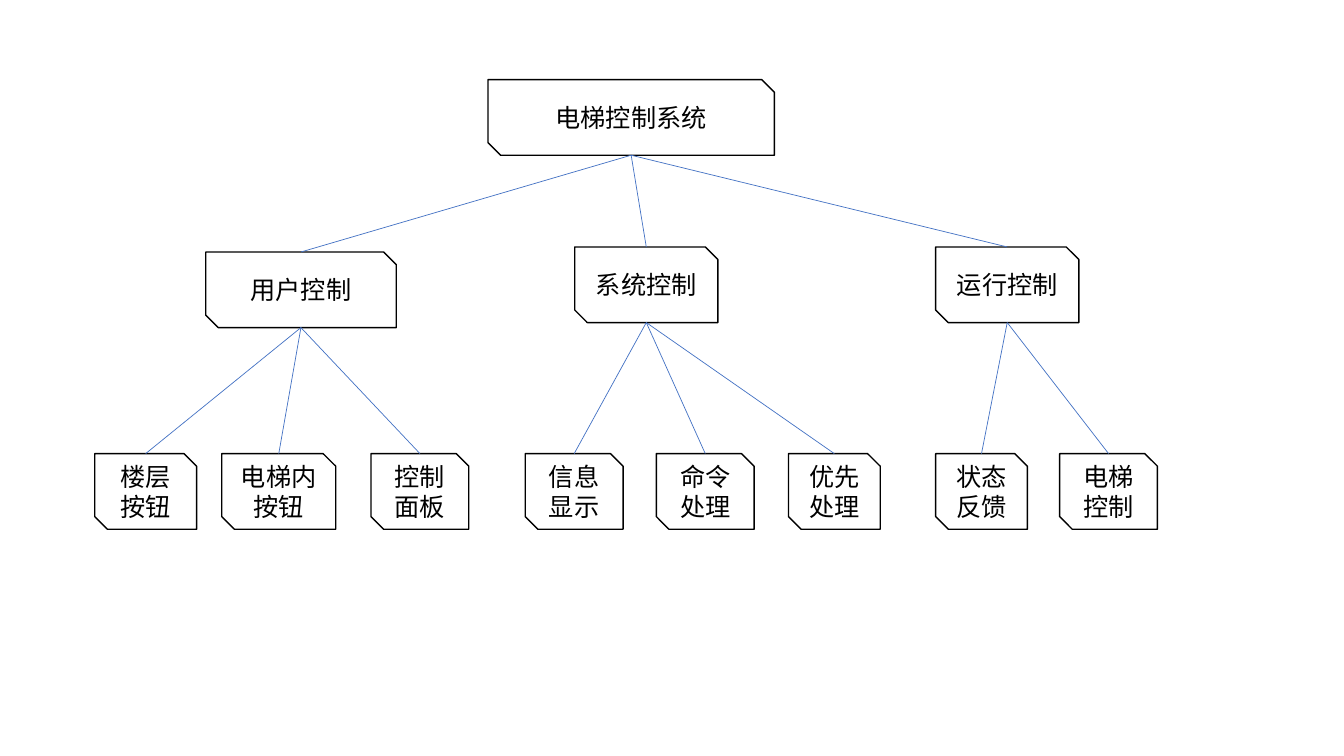
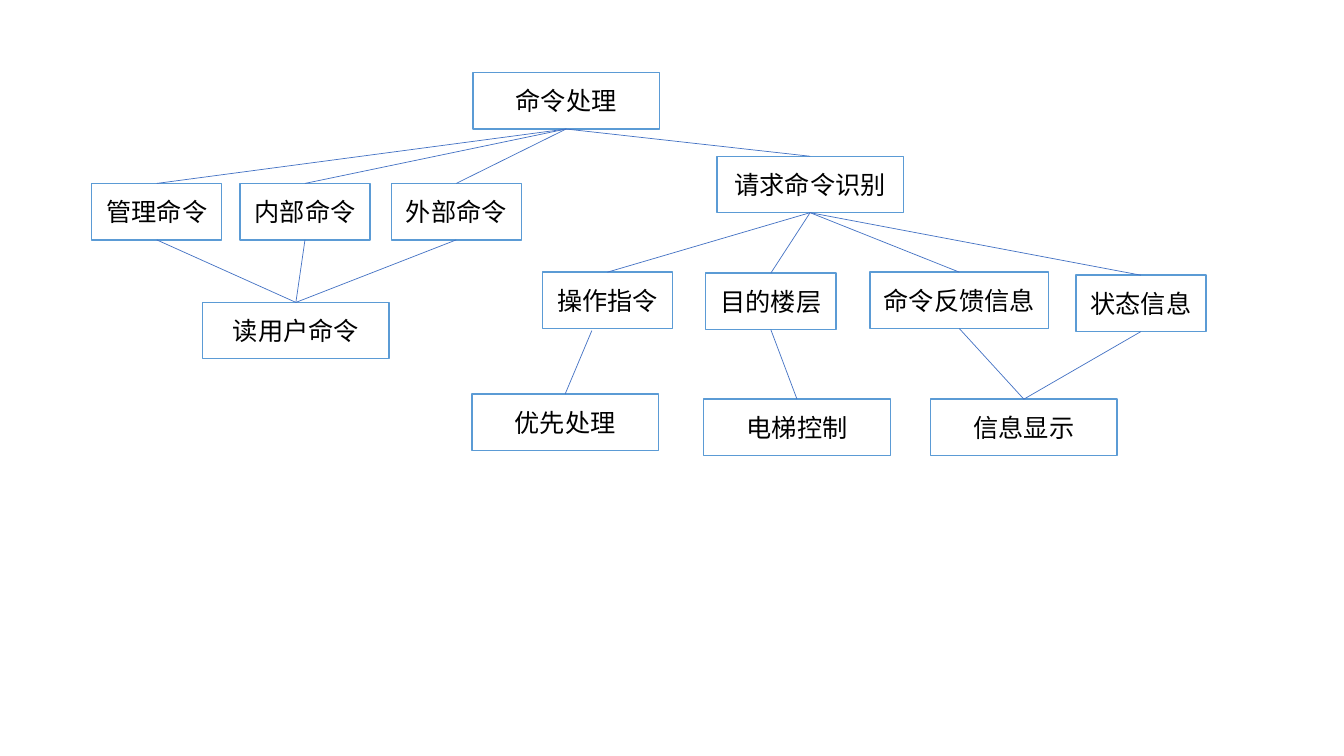
from pptx import Presentation
from pptx.dml.color import RGBColor
from pptx.enum.shapes import MSO_CONNECTOR, MSO_SHAPE
from pptx.enum.text import MSO_ANCHOR, PP_ALIGN
from pptx.oxml.ns import qn
from pptx.util import Inches, Pt
from lxml import etree

WHITE = RGBColor(0xFF, 0xFF, 0xFF)
BLACK = RGBColor(0x00, 0x00, 0x00)
BOX_BLUE = RGBColor(0x5B, 0x9B, 0xD5)
LINE_BLUE = RGBColor(0x44, 0x72, 0xC4)
FONT = "Noto Sans CJK SC"

prs = Presentation()
prs.slide_width = Inches(13.33)
prs.slide_height = Inches(7.5)
blank = prs.slide_layouts[6]


def add_box(shapes, preset, outline, text, left, top, width, height):
    box = shapes.add_shape(preset, Inches(left), Inches(top), Inches(width), Inches(height))
    box.shadow.inherit = False
    box.fill.solid()
    box.fill.fore_color.rgb = WHITE
    box.line.color.rgb = outline
    box.line.width = Pt(1)
    frame = box.text_frame
    frame.word_wrap = True
    frame.vertical_anchor = MSO_ANCHOR.MIDDLE
    paragraph = frame.paragraphs[0]
    paragraph.alignment = PP_ALIGN.CENTER
    run = paragraph.add_run()
    run.text = text
    run.font.size = Pt(18)
    run.font.name = FONT
    run.font.color.rgb = BLACK
    east_asian = etree.SubElement(run.font._element, qn("a:ea"))
    east_asian.set("typeface", FONT)
    return box


def add_link(shapes, upper, lower, start=None):
    """Line from the bottom centre of upper (or from start) to the top centre of lower."""
    x, y = start or (upper.left + upper.width // 2, upper.top + upper.height)
    link = shapes.add_connector(
        MSO_CONNECTOR.STRAIGHT, x, y, lower.left + lower.width // 2, lower.top)
    link.line.color.rgb = LINE_BLUE
    link.line.width = Pt(0.5)
    etree.SubElement(link._element.spPr, qn("a:effectLst"))
    # Rectangles have their top and bottom connection sites at 0 and 2
    if upper.auto_shape_type == MSO_SHAPE.RECTANGLE:
        if start is None:
            link.begin_connect(upper, 2)
        link.end_connect(lower, 0)


# Slide 1: elevator control system, one group of snipped boxes
tree = prs.slides.add_slide(blank).shapes.add_group_shape().shapes
SNIP = (MSO_SHAPE.SNIP_2_DIAG_RECTANGLE, BLACK)
BOX_H, LEAF_TOP = 0.75, 4.5
root = add_box(tree, *SNIP, "电梯控制系统", 4.84, 0.79, 2.84, BOX_H)

branches = [
    ("用户控制", 2.04, 2.5, 1.89,
     [("楼层按钮", 0.94, 1.01), ("电梯内按钮", 2.2, 1.13), ("控制面板", 3.68, 0.97)]),
    ("系统控制", 5.7, 2.45, 1.42,
     [("信息显示", 5.21, 0.97), ("命令处理", 6.51, 0.97), ("优先处理", 7.82, 0.91)]),
    ("运行控制", 9.28, 2.45, 1.42,
     [("状态反馈", 9.28, 0.91), ("电梯控制", 10.51, 0.97)]),
]
for name, left, top, width, leaves in branches:
    branch = add_box(tree, *SNIP, name, left, top, width, BOX_H)
    add_link(tree, root, branch)
    for leaf_name, leaf_left, leaf_width in leaves:
        leaf = add_box(tree, *SNIP, leaf_name, leaf_left, LEAF_TOP, leaf_width, BOX_H)
        add_link(tree, branch, leaf)

# Slide 2: command handling, boxes first
flow = prs.slides.add_slide(blank).shapes
WIDE, NARROW, FLOW_H = 1.85, 1.29, 0.56
flow_boxes = [
    ("命令处理", 4.69, 0.72, WIDE),
    ("管理命令", 0.91, 1.82, NARROW),
    ("内部命令", 2.38, 1.82, NARROW),
    ("外部命令", 3.88, 1.82, NARROW),
    ("请求命令识别", 7.11, 1.55, WIDE),
    ("读用户命令", 2.01, 3, WIDE),
    ("操作指令", 5.38, 2.7, NARROW),
    ("目的楼层", 7, 2.71, NARROW),
    ("命令反馈信息", 8.63, 2.7, 1.77),
    ("状态信息", 10.67, 2.73, NARROW),
    ("优先处理", 4.68, 3.91, WIDE),
    ("电梯控制", 6.98, 3.96, WIDE),
    ("信息显示", 9.23, 3.96, WIDE),
]
steps = {
    name: add_box(flow, MSO_SHAPE.RECTANGLE, BOX_BLUE, name, left, top, width, FLOW_H)
    for name, left, top, width in flow_boxes
}

# Links from each step to the steps below it
next_steps = {
    "命令处理": ["管理命令", "内部命令", "外部命令", "请求命令识别"],
    "管理命令": ["读用户命令"],
    "内部命令": ["读用户命令"],
    "外部命令": ["读用户命令"],
    "请求命令识别": ["操作指令", "目的楼层", "命令反馈信息", "状态信息"],
    "目的楼层": ["电梯控制"],
    "命令反馈信息": ["信息显示"],
    "状态信息": ["信息显示"],
}
for upper, lowers in next_steps.items():
    for lower in lowers:
        add_link(flow, steps[upper], steps[lower])

# This link starts left of the box centre
add_link(flow, steps["操作指令"], steps["优先处理"], (Inches(5.87), Inches(3.28)))

prs.save("out.pptx")
